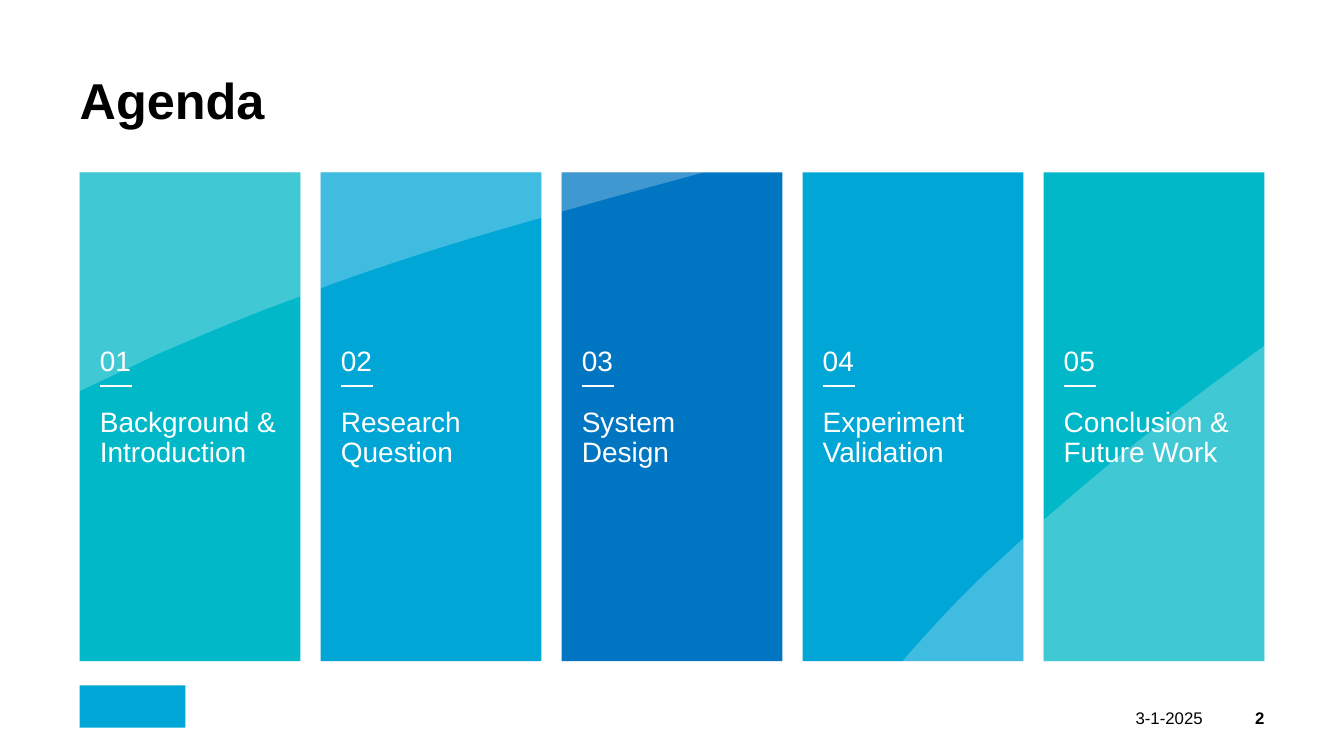
from dataclasses import dataclass

from lxml import etree
from pptx import Presentation
from pptx.dml.color import RGBColor
from pptx.enum.shapes import MSO_CONNECTOR, MSO_SHAPE
from pptx.enum.text import MSO_ANCHOR, PP_ALIGN
from pptx.oxml.ns import qn
from pptx.util import Inches, Pt

RECT = MSO_SHAPE.RECTANGLE
STRAIGHT = MSO_CONNECTOR.STRAIGHT
TOP, MIDDLE, BOTTOM = MSO_ANCHOR.TOP, MSO_ANCHOR.MIDDLE, MSO_ANCHOR.BOTTOM
LEFT, RIGHT = PP_ALIGN.LEFT, PP_ALIGN.RIGHT


@dataclass(frozen=True)
class Theme:
    font: str = "Arial"
    black: str = "000000"
    white: str = "FFFFFF"
    teal: str = "00B8C8"
    cyan: str = "00A6D6"
    blue: str = "0076C2"
    title: int = 36
    body: int = 20
    footer: int = 12
    sweep_alpha: int = 25


T = Theme()

# Sweep outlines, in inches from the column's corner.
# A pair is a corner; six numbers are a Bezier curve to the last pair.
AGENDA = [
    ("Background & Introduction", T.teal,
     [(0, 0), (2.19, 0), (2.19, 1.23), (1.84, 1.36),
      (1.48, 1.5, 1.13, 1.65, 0.78, 1.8),
      (0.55, 1.91, 0.3, 2.03, 0.02, 2.16), (0, 2.17)]),
    ("Research Question", T.cyan,
     [(0, 0), (2.19, 0), (2.19, 0.45), (1.67, 0.6),
      (1.1, 0.77, 0.54, 0.95, 0, 1.15)]),
    ("System Design", T.blue,
     [(0, 0), (1.41, 0), (0.42, 0.27), (0, 0.39)]),
    ("Experiment Validation", T.cyan,
     [(2.19, 3.63), (2.19, 4.85), (0.99, 4.85), (1.05, 4.78),
      (1.28, 4.52, 1.53, 4.25, 1.8, 3.99)]),
    ("Conclusion & Future Work", T.teal,
     [(2.19, 1.72), (2.19, 4.85), (0, 4.85), (0, 3.45), (0.28, 3.21),
      (0.73, 2.82, 1.22, 2.44, 1.73, 2.06)]),
]


def paint(sp, color, alpha=None):
    sp.shadow.inherit = False
    sp.fill.solid()
    sp.fill.fore_color.rgb = RGBColor.from_string(color)
    sp.line.fill.background()
    if alpha is not None:
        clr = sp.fill._xPr.find(qn("a:solidFill"))[0]
        etree.SubElement(clr, qn("a:alpha")).set("val", str(alpha * 1000))


def add_text(shapes, box, text, size, color, bold=False, align=LEFT,
             anchor=TOP, inset=0, spacing=None, gap=0, wrap=True):
    tf = shapes.add_textbox(*map(Inches, box)).text_frame
    tf.word_wrap = wrap
    tf.vertical_anchor = anchor
    tf.margin_left = tf.margin_right = Inches(inset)
    tf.margin_top = tf.margin_bottom = 0
    p = tf.paragraphs[0]
    p.alignment = align
    p.line_spacing = spacing
    p.space_before = p.space_after = Pt(gap)
    r = p.add_run()
    r.text = text
    r.font.name, r.font.size, r.font.bold = T.font, Pt(size), bold
    r.font.color.rgb = RGBColor.from_string(color)


def flatten(outline, steps=12):
    """Turn corners and Bezier curves into a list of points."""
    pts = []
    for seg in outline:
        if len(seg) == 2:
            pts.append(seg)
            continue
        (x0, y0), (x1, y1, x2, y2, x3, y3) = pts[-1], seg
        for i in range(1, steps + 1):
            t = i / steps
            a, b, c, d = (1 - t)**3, 3 * t * (1 - t)**2, 3 * t**2 * (1 - t), t**3
            pts.append((a * x0 + b * x1 + c * x2 + d * x3,
                        a * y0 + b * y1 + c * y2 + d * y3))
    return pts


def add_sweep(shapes, x, y, outline):
    pts = [(Inches(x + px), Inches(y + py)) for px, py in flatten(outline)]
    fb = shapes.build_freeform(*pts[0])
    fb.add_line_segments(pts[1:], close=True)
    paint(fb.convert_to_shape(), T.white, T.sweep_alpha)


def add_column(s, box, number, label, color, outline):
    x, y, w, h = box
    shapes = s.shapes.add_group_shape().shapes
    paint(shapes.add_shape(RECT, *map(Inches, box)), color)
    add_sweep(shapes, x, y, outline)

    # Label below the rule, number above it
    style = dict(size=T.body, color=T.white, inset=0.2, spacing=0.9, gap=6)
    add_text(shapes, (x, y + 2.34, w, h - 2.34), label, **style)
    add_text(shapes, (x, y + 1.74, w, 0.3), f"{number:02}", anchor=BOTTOM, **style)

    rule_y = Inches(y + 2.12)
    rule = shapes.add_connector(STRAIGHT, Inches(x + 0.2), rule_y,
                                Inches(x + 0.52), rule_y)
    rule.line.color.rgb = RGBColor.from_string(T.white)
    rule.line.width = Pt(1)
    etree.SubElement(rule._element.spPr, qn("a:effectLst"))


def add_columns(s, box, gap=0.2):
    x, y, w, h = box
    col_w = (w - gap * (len(AGENDA) - 1)) / len(AGENDA)
    for i, (label, color, outline) in enumerate(AGENDA):
        add_column(s, (x + i * (col_w + gap), y, col_w, h),
                   i + 1, label, color, outline)


def add_footer(s, box):
    x, y, w, h = box
    # Plain block in the logo's place
    paint(s.shapes.add_shape(RECT, *map(Inches, (x, y, 1.05, h))), T.cyan)
    # Date and page number
    style = dict(size=T.footer, color=T.black, align=RIGHT, anchor=MIDDLE, wrap=False)
    right, text_y = x + w, y + h - 0.2
    add_text(s.shapes, (right - 1.45, text_y, 0.84, 0.2), "3-1-2025", **style)
    add_text(s.shapes, (right - 0.32, text_y, 0.32, 0.2), "2", bold=True, **style)


def agenda_slide(prs):
    s = prs.slides.add_slide(prs.slide_layouts[6])
    x, w = 0.79, 11.75
    add_text(s.shapes, (x, 0.79, w, 0.5), "Agenda", T.title, T.black,
             bold=True, spacing=Pt(36))
    add_columns(s, (x, 1.71, w, 4.85))
    add_footer(s, (x, 6.8, w, 0.42))


def main():
    prs = Presentation()
    prs.slide_width, prs.slide_height = Inches(13.33), Inches(7.5)
    agenda_slide(prs)
    prs.save("out.pptx")


if __name__ == "__main__":
    main()
